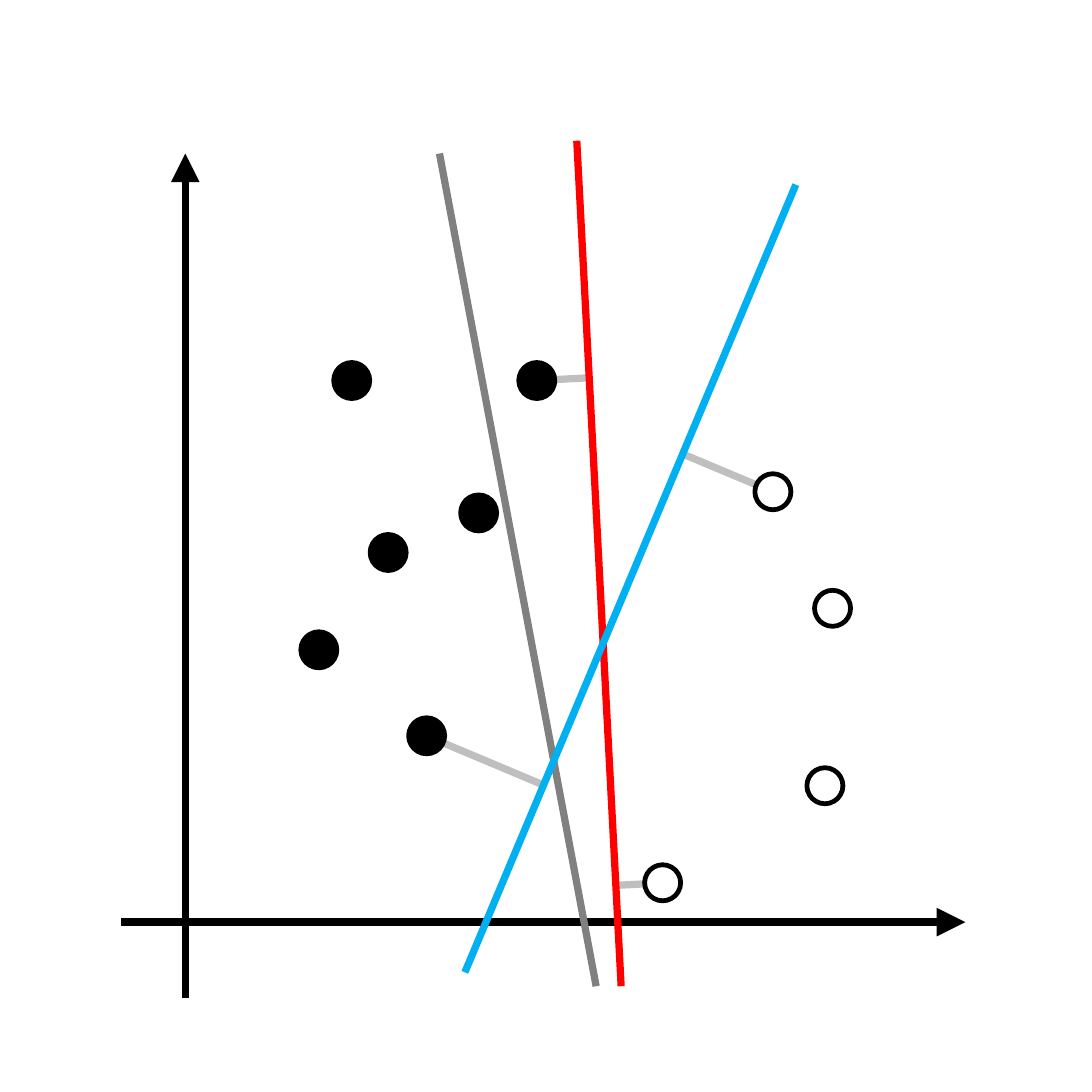
import pptx
import pptx.dml.color
import pptx.enum.shapes
import pptx.oxml
import pptx.oxml.ns
import pptx.util

SIDE = pptx.util.Inches(3.15)
GRID = 315  # columns and rows across the plot box
DIAMETER = 10.4

BLACK, WHITE = "000000", "FFFFFF"
MARGIN_GREY, GREY, RED, BLUE = "BFBFBF", "808080", "FF0000", "00B0F0"

# Points are (column, row) on the grid
AXES = [((53.5, 288), (53.5, 44.3)), ((35, 266), (278.5, 266))]
POOR_SEPARATOR = ((126.8, 44.3), (172, 284.5))
NARROW_SEPARATOR = ((166.4, 40.6), (179.2, 284.5))
WIDE_SEPARATOR = ((229.6, 53.3), (134.1, 280.5))

FILLED_POINTS = [(101.5, 109.8), (92, 187.5), (154.9, 109.8),
                 (123.1, 212.3), (112, 159.4), (138.1, 148)]
HOLLOW_SUPPORTS = [(223, 141.9), (191.2, 254.7)]
HOLLOW_POINTS = [(240.2, 175.5), (238, 226.7)]
SUPPORTS = [((154.9, 109.8), NARROW_SEPARATOR),
            ((191.2, 254.7), NARROW_SEPARATOR),
            ((223, 141.9), WIDE_SEPARATOR),
            ((123.1, 212.3), WIDE_SEPARATOR)]


def colour(value):
    return pptx.dml.color.RGBColor.from_string(value)


def locate(box, point):
    """Turn a grid point into slide coordinates inside the box."""
    left, top, width, height = box
    return (round(left + point[0] * width / GRID),
            round(top + point[1] * height / GRID))


def perpendicular_foot(point, line):
    """Find the point of the line that is closest to the given point."""
    (x1, y1), (x2, y2) = line
    dx, dy = x2 - x1, y2 - y1
    share = ((point[0] - x1) * dx + (point[1] - y1) * dy) / (dx ** 2 + dy ** 2)
    return x1 + share * dx, y1 + share * dy


def add_line(slide, box, ends, line_colour, arrow=False):
    start, end = ends
    connector = slide.shapes.add_connector(
        pptx.enum.shapes.MSO_CONNECTOR.STRAIGHT,
        *locate(box, start), *locate(box, end))
    connector.line.color.rgb = colour(line_colour)
    connector.line.width = pptx.util.Pt(1.5)
    if arrow:
        outline = connector.line._get_or_add_ln()
        tail = pptx.oxml.ns.qn("a:tailEnd")
        outline.append(outline.makeelement(tail, {"type": "triangle"}))
    properties = connector._element.spPr
    properties.append(
        properties.makeelement(pptx.oxml.ns.qn("a:effectLst"), {}))


def add_data_point(slide, box, centre, fill_colour=None):
    left, top = locate(box, [value - DIAMETER / 2 for value in centre])
    size = [round(side * DIAMETER / GRID) for side in box[2:]]
    circle = slide.shapes.add_shape(
        pptx.enum.shapes.MSO_SHAPE.OVAL, left, top, *size)
    circle.shadow.inherit = False
    if fill_colour:
        circle.fill.solid()
        circle.fill.fore_color.rgb = colour(fill_colour)
    else:
        circle.fill.background()
    circle.line.color.rgb = colour(BLACK)
    circle.line.width = pptx.util.Pt(1)


def add_separator_plot(slide, box):
    for point, separator in SUPPORTS:
        margin = (point, perpendicular_foot(point, separator))
        add_line(slide, box, margin, MARGIN_GREY)
    for axis in AXES:
        add_line(slide, box, axis, BLACK, arrow=True)
    for points, fill_colour in ((FILLED_POINTS, BLACK),
                                (HOLLOW_SUPPORTS, WHITE),
                                (HOLLOW_POINTS, None)):
        for centre in points:
            add_data_point(slide, box, centre, fill_colour)
    for separator, line_colour in ((POOR_SEPARATOR, GREY),
                                   (NARROW_SEPARATOR, RED),
                                   (WIDE_SEPARATOR, BLUE)):
        add_line(slide, box, separator, line_colour)


def main():
    presentation = pptx.Presentation()
    presentation.slide_width = presentation.slide_height = SIDE
    slide = presentation.slides.add_slide(presentation.slide_layouts[6])
    add_separator_plot(slide, (0, 0, SIDE, SIDE))
    presentation.save("out.pptx")


if __name__ == "__main__":
    main()
